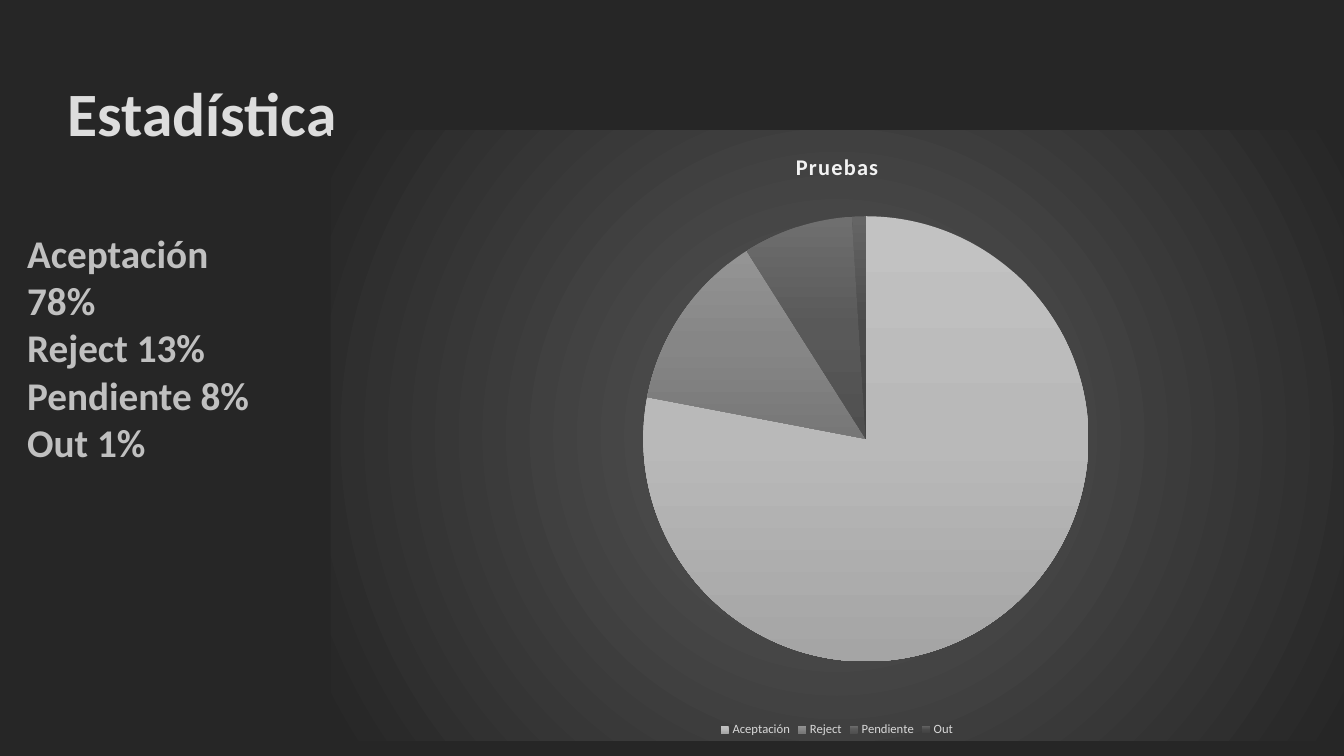
from lxml.etree import SubElement
from pptx import Presentation
from pptx.chart.data import CategoryChartData
from pptx.dml.color import RGBColor
from pptx.enum.chart import XL_CHART_TYPE, XL_LEGEND_POSITION
from pptx.enum.text import MSO_ANCHOR, MSO_AUTO_SIZE, PP_ALIGN
from pptx.oxml.ns import qn
from pptx.util import Cm, Pt

COLORS = {
    "background": "262626",
    "heading": "DDDDDD",
    "list": "C0C0C0",
    "chart": "FFFFFF",
    "chart title": "F2F2F2",
    "legend": "D9D9D9",
    "panel center": "595959",
}

# Share of each result and its slice gradient, top to bottom
RESULTS = {
    "Aceptación": (78, ("C2C2C2", "B9B9B9", "A5A5A5")),
    "Reject": (13, ("949494", "868686", "777777")),
    "Pendiente": (8, ("6F6F6F", "595959", "4F4F4F")),
    "Out": (1, ("656565", "4B4B4B", "434343")),
}


class Deck:
    font_name = "Calibri"

    def __init__(self):
        self.presentation = Presentation()
        self.presentation.slide_width = Cm(33.87)
        self.presentation.slide_height = Cm(19.05)
        layout = self.presentation.slide_layouts[1]
        self.slide = self.presentation.slides.add_slide(layout)
        backdrop = self.slide.background.fill
        backdrop.solid()
        backdrop.fore_color.rgb = RGBColor.from_string(COLORS["background"])

    def style(self, font, color, **formats):
        font.color.rgb = RGBColor.from_string(COLORS[color])
        for name, value in {"name": self.font_name, **formats}.items():
            setattr(font, name, value)

    def text(self, index, lines, box, color, size, frame_format, line_format):
        """Fill a template placeholder and move it to box (cm)."""
        holder = self.slide.placeholders[index]
        holder.left, holder.top, holder.width, holder.height = map(Cm, box)
        frame = holder.text_frame
        frame.text = "\n".join(lines)
        for name, value in frame_format.items():
            setattr(frame, name, value)
        for line in frame.paragraphs:
            for name, value in line_format.items():
                setattr(line, name, value)
            self.style(line.runs[0].font, color, size=Pt(size), bold=True)
        return frame

    def gradient(self, properties, colors, circle=False):
        fill = properties.makeelement(qn("a:gradFill"), {"rotWithShape": "1"})
        properties.insert(0, fill)
        stops = SubElement(fill, qn("a:gsLst"))
        for i, color in enumerate(colors):
            position = str(100000 * i // (len(colors) - 1))
            stop = SubElement(stops, qn("a:gs"), pos=position)
            SubElement(stop, qn("a:srgbClr"), val=color)
        if circle:
            center = SubElement(fill, qn("a:path"), path="circle")
            SubElement(center, qn("a:fillToRect"),
                       {side: "50000" for side in "ltrb"})
        else:
            SubElement(fill, qn("a:lin"), ang="5400000", scaled="0")

    def pie(self, title, results, box):
        data = CategoryChartData()
        data.categories = list(results)
        data.add_series(title, [share for share, _ in results.values()])
        chart = self.slide.shapes.add_chart(
            XL_CHART_TYPE.PIE, *map(Cm, box), data).chart
        self.style(chart.font, "chart", size=Pt(10))

        # Title and legend
        chart.has_title = True
        heading = chart.chart_title.text_frame
        heading.text = title
        run = heading.paragraphs[0].runs[0]
        self.style(run.font, "chart title", size=Pt(16), bold=True)
        run.font._element.set("spc", "100")
        chart.has_legend = True
        chart.legend.position = XL_LEGEND_POSITION.BOTTOM
        chart.legend.include_in_layout = False
        self.style(chart.legend.font, "legend", size=Pt(9))

        # Slices
        plot = chart.plots[0]
        plot.vary_by_categories = True
        for i in range(len(results)):
            plot.series[0].points[i].format.line.fill.background()
        slices = chart.element.xpath(".//c:dPt/c:spPr")
        for properties, (_, colors) in zip(slices, results.values()):
            self.gradient(properties, colors)

        # Panel behind the pie
        panel = chart.element.makeelement(qn("c:spPr"), {})
        chart.element.find(qn("c:txPr")).addprevious(panel)
        self.gradient(panel, (COLORS["panel center"], COLORS["background"]),
                      circle=True)
        SubElement(SubElement(panel, qn("a:ln")), qn("a:noFill"))

        # Place of the pie inside the panel
        area = chart.element.xpath(".//c:plotArea")[0]
        for old in area.findall(qn("c:layout")):
            area.remove(old)
        layout = area.makeelement(qn("c:layout"), {})
        area.insert(0, layout)
        manual = SubElement(layout, qn("c:manualLayout"))
        places = {"layoutTarget": "inner", "xMode": "edge", "yMode": "edge",
                  "x": "0.057", "y": "0.141", "w": "0.943", "h": "0.729"}
        for name, value in places.items():
            SubElement(manual, qn(f"c:{name}"), val=value)


def main():
    deck = Deck()

    # Heading
    deck.text(0, ["Estadística"], (1.45, 0.58, 30.1, 3.2), "heading", 44,
              {"vertical_anchor": MSO_ANCHOR.BOTTOM, "margin_bottom": 0,
               "auto_size": MSO_AUTO_SIZE.NONE},
              {"alignment": PP_ALIGN.LEFT, "line_spacing": 0.9})

    # List of results, without bullets
    shares = [f"{name} {share}%" for name, (share, _) in RESULTS.items()]
    summary = deck.text(1, shares, (0.43, 5.66, 6.81, 6.25), "list", 28,
                        {"vertical_anchor": MSO_ANCHOR.TOP,
                         "auto_size": MSO_AUTO_SIZE.NONE},
                        {"space_before": Pt(0)})
    for line in summary.paragraphs:
        properties = line._p.get_or_add_pPr()
        properties.set("marL", "0")
        properties.set("indent", "0")
        SubElement(properties, qn("a:buNone"))

    # Pie chart
    deck.pie("Pruebas", RESULTS, (8.33, 3.28, 25.53, 15.39))

    deck.presentation.save("out.pptx")


if __name__ == "__main__":
    main()
